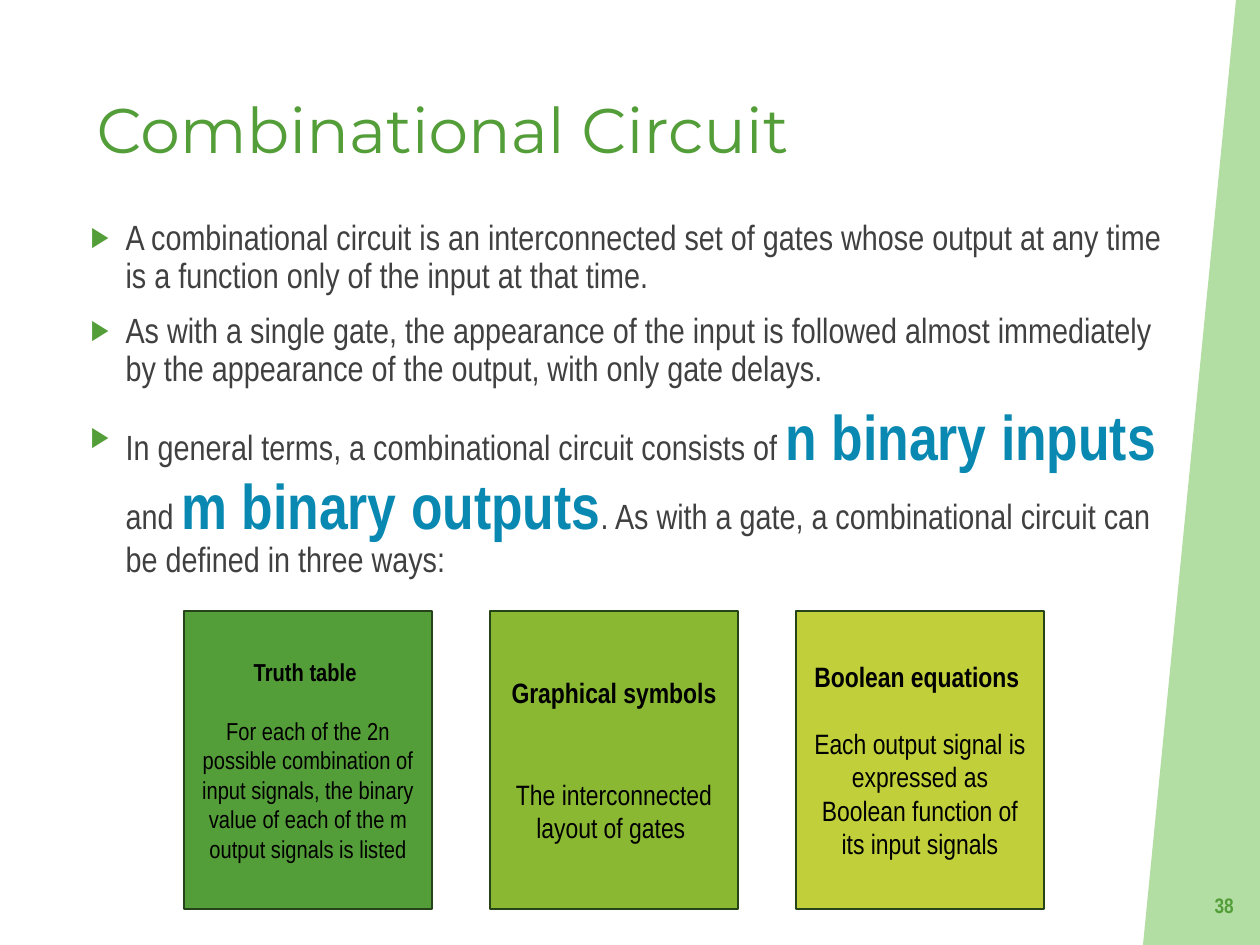
from dataclasses import dataclass

from lxml.etree import SubElement
from pptx import Presentation
from pptx.dml.color import RGBColor
from pptx.enum.shapes import MSO_SHAPE
from pptx.enum.text import MSO_ANCHOR, MSO_AUTO_SIZE, PP_ALIGN
from pptx.oxml.ns import qn
from pptx.util import Emu, Pt

PX_PER_INCH = 126
NARROW = "Arial Narrow"
HEADING_FONT = "Montserrat"
GREEN = RGBColor(0x54, 0x9E, 0x39)
LEAF = RGBColor(0x8A, 0xB8, 0x33)
LIME = RGBColor(0xC0, 0xCF, 0x3A)
PALE_GREEN = RGBColor(0x93, 0xD0, 0x7D)
DARK_GREEN = RGBColor(0x25, 0x45, 0x19)
BLUE = RGBColor(0x09, 0x89, 0xB1)
GRAY = RGBColor(0x40, 0x40, 0x40)
BLACK = RGBColor(0, 0, 0)


@dataclass(frozen=True)
class Span:
    text: str
    strong: bool = False


@dataclass(frozen=True)
class Card:
    heading: str
    detail: str
    fill: RGBColor
    size: int
    gap: int


BULLETS = [
    [Span("A combinational circuit is an interconnected set of gates whose output "
          "at any time is a function only of the input at that time.")],
    [Span("As with a single gate, the appearance of the input is followed almost "
          "immediately by the appearance of the output, with only gate delays.")],
    [Span("In general terms, a combinational circuit consists of "),
     Span("n binary inputs ", True),
     Span("and "),
     Span("m binary outputs", True),
     Span(". As with a gate, a combinational circuit can be defined in three ways:")],
]

CARDS = [
    Card("Truth table ",
         "For each of the 2n possible combination of input signals, the binary "
         "value of each of the m output signals is listed", GREEN, 14, 17),
    Card("Graphical symbols", "The interconnected layout of gates ", LEAF, 16, 39),
    Card("Boolean equations ",
         "Each output signal is expressed as Boolean function of its input signals",
         LIME, 16, 19),
]
CARD_LEFT, CARD_TOP, CARD_PITCH = 184, 611, 306
CARD_WIDTH, CARD_HEIGHT = 248, 298


def px(n: int) -> Emu:
    return Emu(round(n * 914400 / PX_PER_INCH))


def place(sp, left: int, top: int, width: int, height: int) -> None:
    sp.left, sp.top, sp.width, sp.height = map(px, (left, top, width, height))


def style(font, name: str, size: int, color: RGBColor, bold: bool = False) -> None:
    font.name = name
    font.size = Pt(size)
    font.bold = bold
    font.color.rgb = color


def add_side_band(s) -> None:
    builder = s.shapes.build_freeform(px(1236), 0, scale=1.0)
    builder.add_line_segments([(px(1143), px(945)), (px(1260), px(945)), (px(1260), 0)])
    sp = builder.convert_to_shape()
    sp.shadow.inherit = False
    sp.fill.solid()
    sp.fill.fore_color.rgb = PALE_GREEN
    sp.line.fill.background()
    color = sp.fill._xPr.find(qn("a:solidFill"))[0]
    SubElement(color, qn("a:alpha"), val="70000")
    s.shapes._spTree.insert(2, sp._element)


def add_title(s) -> None:
    sp = s.shapes.title
    place(sp, 84, 84, 1060, 101)
    tf = sp.text_frame
    tf.text = "Combinational Circuit"
    tf.vertical_anchor = MSO_ANCHOR.TOP
    tf.auto_size = MSO_AUTO_SIZE.NONE
    p = tf.paragraphs[0]
    p.alignment = PP_ALIGN.LEFT
    style(p.runs[0].font, HEADING_FONT, 36, GREEN)


def set_bullet(p) -> None:
    pPr = p._p.get_or_add_pPr()
    pPr.set("marL", str(px(50)))
    pPr.set("indent", str(px(-35)))
    color = SubElement(pPr, qn("a:buClr"))
    SubElement(color, qn("a:srgbClr"), val=str(GREEN))
    SubElement(pPr, qn("a:buSzPct"), val="80000")
    SubElement(pPr, qn("a:buChar"), char="▶")


def add_body(s) -> None:
    sp = s.placeholders[1]
    place(sp, 63, 214, 1126, 714)
    tf = sp.text_frame
    tf.vertical_anchor = MSO_ANCHOR.TOP
    tf.auto_size = MSO_AUTO_SIZE.NONE
    for i, spans in enumerate(BULLETS):
        p = tf.add_paragraph() if i else tf.paragraphs[0]
        set_bullet(p)
        p.line_spacing = 0.9
        p.space_before = Pt(10 if i else 0)
        for span in spans:
            r = p.add_run()
            r.text = span.text
            size, color = (36, BLUE) if span.strong else (20, GRAY)
            style(r.font, NARROW, size, color, span.strong)


def add_card(s, index: int, card: Card) -> None:
    sp = s.shapes.add_shape(MSO_SHAPE.RECTANGLE, px(CARD_LEFT + index * CARD_PITCH),
                            px(CARD_TOP), px(CARD_WIDTH), px(CARD_HEIGHT))
    sp.shadow.inherit = False
    sp.fill.solid()
    sp.fill.fore_color.rgb = card.fill
    sp.line.color.rgb = DARK_GREEN
    sp.line.width = Pt(1.5)
    tf = sp.text_frame
    tf.word_wrap = True
    tf.vertical_anchor = MSO_ANCHOR.MIDDLE
    tf.text = f"{card.heading}\n{card.detail}"
    for p, bold in zip(tf.paragraphs, (True, False)):
        p.alignment = PP_ALIGN.CENTER
        style(p.runs[0].font, NARROW, card.size, BLACK, bold)
    tf.paragraphs[1].space_before = Pt(card.gap)


def add_page_number(s) -> None:
    sp = s.shapes.add_textbox(px(1176), px(880), px(70), px(50))
    tf = sp.text_frame
    tf.word_wrap = True
    tf.vertical_anchor = MSO_ANCHOR.MIDDLE
    tf.text = "38"
    p = tf.paragraphs[0]
    p.alignment = PP_ALIGN.RIGHT
    style(p.runs[0].font, NARROW, 12, GREEN, True)


def main() -> None:
    prs = Presentation()
    prs.slide_width, prs.slide_height = px(1260), px(945)
    s = prs.slides.add_slide(prs.slide_layouts[1])
    add_side_band(s)
    add_title(s)
    add_body(s)
    for i, card in enumerate(CARDS):
        add_card(s, i, card)
    add_page_number(s)
    prs.save("out.pptx")


if __name__ == "__main__":
    main()
